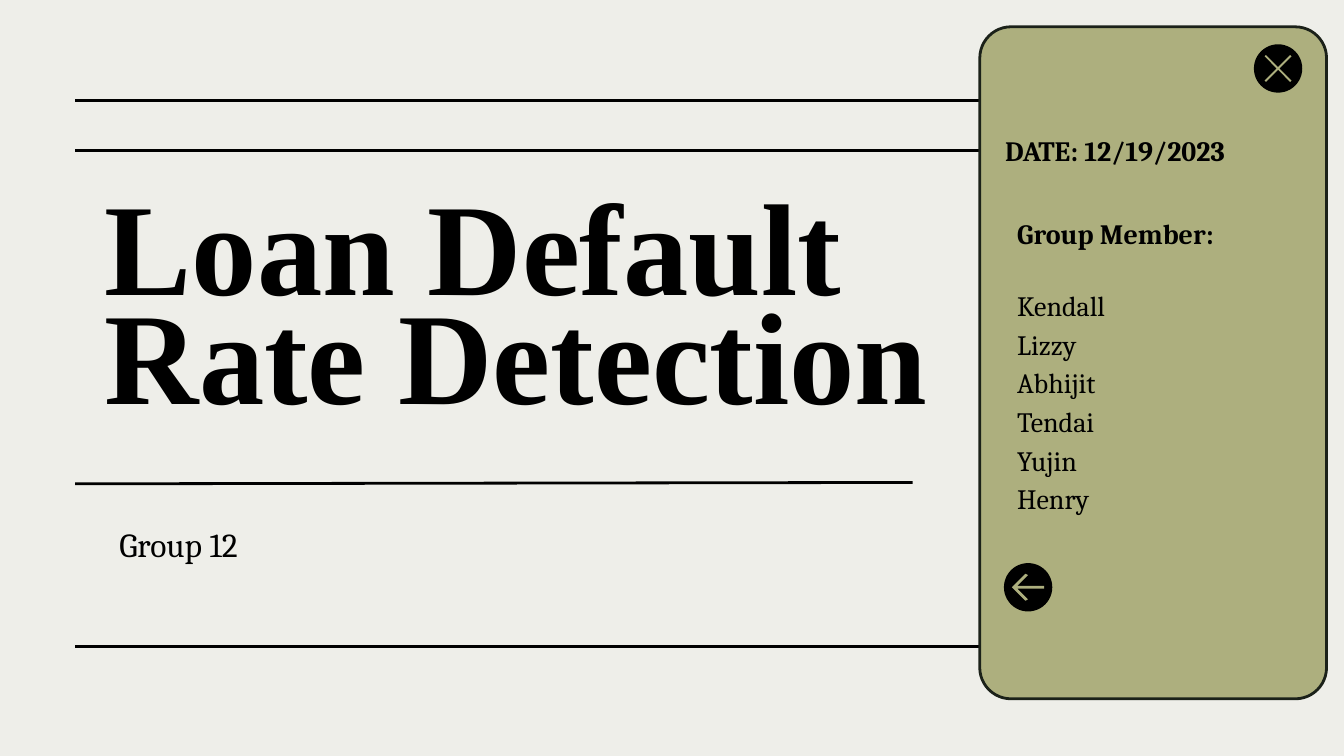
from dataclasses import dataclass

from lxml.etree import SubElement
from pptx import Presentation
from pptx.dml.color import RGBColor
from pptx.enum.shapes import MSO_CONNECTOR, MSO_SHAPE
from pptx.enum.text import MSO_ANCHOR, MSO_AUTO_SIZE, PP_ALIGN
from pptx.oxml.ns import qn
from pptx.shapes.base import BaseShape
from pptx.slide import Slide
from pptx.text.text import TextFrame
from pptx.util import Inches, Pt

BACKGROUND = RGBColor(0xEE, 0xEE, 0xE9)
BLACK = RGBColor(0x00, 0x00, 0x00)
OLIVE = RGBColor(0xAD, 0xAF, 0x7E)
CARD_EDGE = RGBColor(0x1B, 0x21, 0x19)
BODY_FONT = "Cambria"
TITLE_FONT = "Times New Roman"
RULE_WIDTH = Pt(1.5)
BUTTON_SIZE = 0.36


@dataclass(frozen=True)
class Box:
    left: float
    top: float
    width: float
    height: float

    def lengths(self) -> tuple[int, ...]:
        return tuple(Inches(v) for v in (self.left, self.top, self.width, self.height))


@dataclass(frozen=True)
class Rule:
    right: float
    start_y: float
    end_y: float
    left: float = 0.56


@dataclass(frozen=True)
class Button:
    """A round button; icon points are measured from its top left corner."""
    left: float
    top: float
    icon: tuple[tuple[float, float], ...]


RULES = [
    Rule(9.4, 0.75, 0.75),
    Rule(9.4, 1.12, 1.12),
    Rule(9.4, 4.81, 4.81),
    Rule(6.79, 3.6, 3.59),
]
CROSS = ((0.09, 0.08), (0.08, 0.09), (0.17, 0.18), (0.08, 0.27), (0.09, 0.28), (0.18, 0.19),
         (0.27, 0.28), (0.28, 0.27), (0.19, 0.18), (0.28, 0.09), (0.27, 0.08), (0.18, 0.17))
BACK_ARROW = ((0.16, 0.08), (0.06, 0.18), (0.16, 0.28), (0.18, 0.27), (0.10, 0.19),
              (0.30, 0.19), (0.30, 0.17), (0.10, 0.17), (0.18, 0.09))
BUTTONS = [Button(9.33, 0.33, CROSS), Button(7.47, 4.19, BACK_ARROW)]
MEMBERS = ["Kendall", "Lizzy", "Abhijit", "Tendai", "Yujin", "Henry"]


def prepare_frame(frame: TextFrame, anchor: MSO_ANCHOR = MSO_ANCHOR.TOP) -> None:
    frame.word_wrap = True
    frame.auto_size = MSO_AUTO_SIZE.NONE
    frame.vertical_anchor = anchor
    frame.margin_left = frame.margin_right = Inches(0.1)
    frame.margin_top = frame.margin_bottom = Inches(0.1)


def write_text(frame: TextFrame, text: str, *, size: float, font: str = BODY_FONT,
               bold: bool = False, spacing: float = 1.0, before: float = 0) -> None:
    """Fill the frame's empty first paragraph, or append another one."""
    paragraph = frame.paragraphs[-1]
    if paragraph.runs:
        paragraph = frame.add_paragraph()
    paragraph.alignment = PP_ALIGN.LEFT
    paragraph.line_spacing = spacing
    paragraph.space_before = Pt(before)
    run = paragraph.add_run()
    run.text = text
    run.font.name = font
    run.font.size = Pt(size)
    run.font.bold = bold
    run.font.color.rgb = BLACK


def add_text_box(slide: Slide, box: Box) -> TextFrame:
    frame = slide.shapes.add_textbox(*box.lengths()).text_frame
    prepare_frame(frame)
    return frame


def add_rule(slide: Slide, rule: Rule) -> None:
    connector = slide.shapes.add_connector(
        MSO_CONNECTOR.STRAIGHT, Inches(rule.left), Inches(rule.start_y),
        Inches(rule.right), Inches(rule.end_y))
    connector.line.color.rgb = BLACK
    connector.line.width = RULE_WIDTH
    SubElement(connector._element.spPr, qn("a:effectLst"))


def fill_plain(shape: BaseShape, color: RGBColor) -> None:
    """Give a solid fill with no outline or shadow."""
    shape.shadow.inherit = False
    shape.fill.solid()
    shape.fill.fore_color.rgb = color
    shape.line.fill.background()


def add_card(slide: Slide, box: Box) -> None:
    card = slide.shapes.add_shape(MSO_SHAPE.ROUNDED_RECTANGLE, *box.lengths())
    card.adjustments[0] = 0.09
    fill_plain(card, OLIVE)
    card.line.color.rgb = CARD_EDGE
    card.line.width = RULE_WIDTH


def add_button(slide: Slide, button: Button) -> None:
    group = slide.shapes.add_group_shape()
    box = Box(button.left, button.top, BUTTON_SIZE, BUTTON_SIZE)
    fill_plain(group.shapes.add_shape(MSO_SHAPE.OVAL, *box.lengths()), BLACK)
    points = [(Inches(button.left + x), Inches(button.top + y)) for x, y in button.icon]
    builder = group.shapes.build_freeform(*points[0])
    builder.add_line_segments(points[1:], close=True)
    fill_plain(builder.convert_to_shape(), OLIVE)


def add_title(slide: Slide, text: str, box: Box) -> None:
    title = slide.shapes.title
    title.left, title.top, title.width, title.height = box.lengths()
    prepare_frame(title.text_frame, MSO_ANCHOR.MIDDLE)
    write_text(title.text_frame, text, size=70, font=TITLE_FONT, bold=True, spacing=0.7)


def main() -> None:
    presentation = Presentation()
    presentation.slide_width = Inches(10)
    presentation.slide_height = Inches(10 * 9 / 16)
    slide = presentation.slides.add_slide(presentation.slide_layouts[5])
    slide.background.fill.solid()
    slide.background.fill.fore_color.rgb = BACKGROUND

    for rule in RULES:
        add_rule(slide, rule)
    add_card(slide, Box(7.29, 0.2, 2.58, 5))
    add_title(slide, "Loan Default Rate Detection", Box(0.68, 1.52, 6.71, 1.68))
    write_text(add_text_box(slide, Box(0.79, 3.8, 2.76, 0.75)), "Group 12", size=18)

    date = add_text_box(slide, Box(7.38, 0.89, 2.22, 0.55))
    write_text(date, "DATE: 12/19/2023", size=15, bold=True)
    members = add_text_box(slide, Box(7.47, 1.51, 2.22, 2.42))
    write_text(members, "Group Member:", size=15, bold=True)
    for index, name in enumerate(MEMBERS):
        write_text(members, name, size=15, spacing=1.15, before=0 if index else 18)

    for button in BUTTONS:
        add_button(slide, button)
    presentation.save("out.pptx")


if __name__ == "__main__":
    main()
